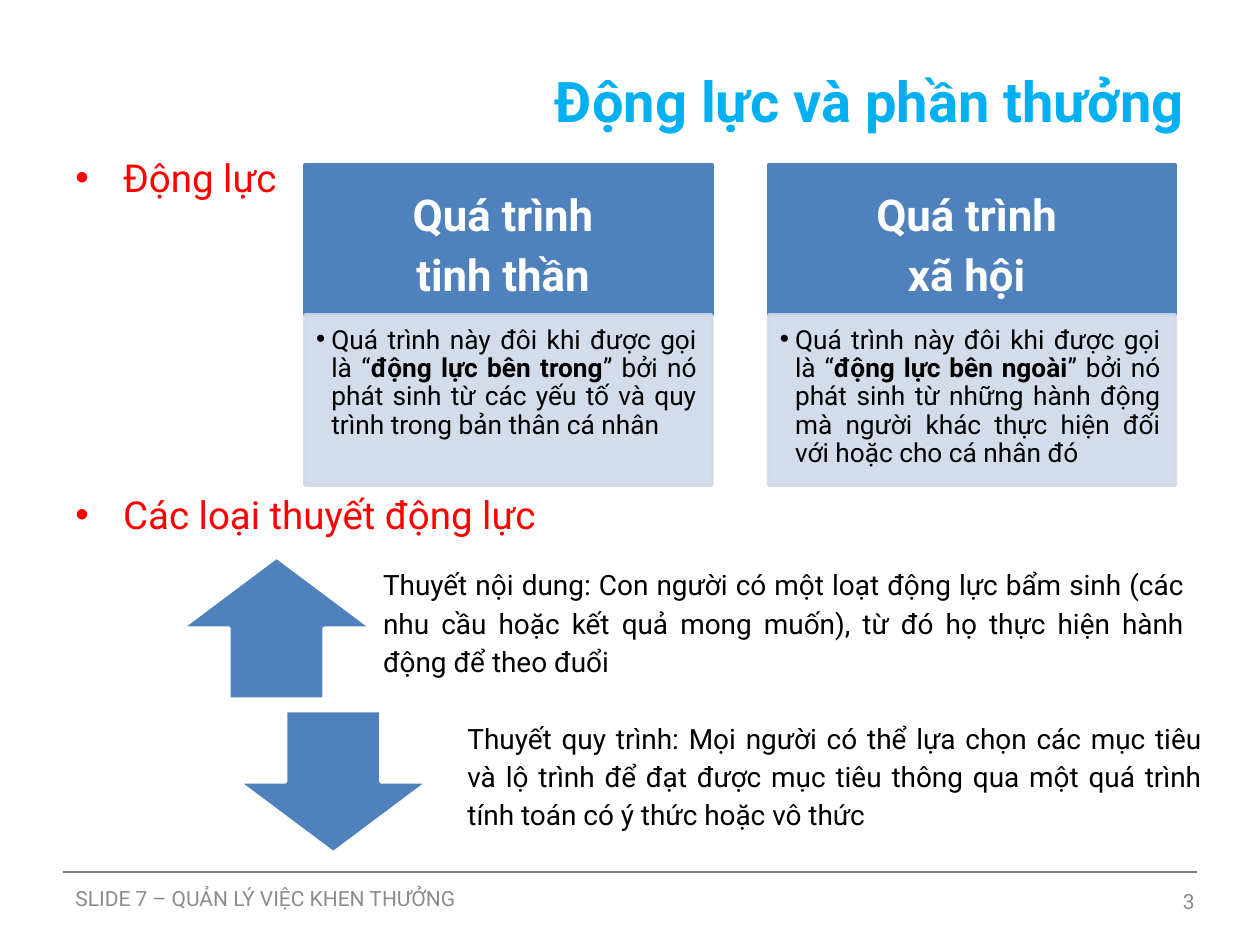
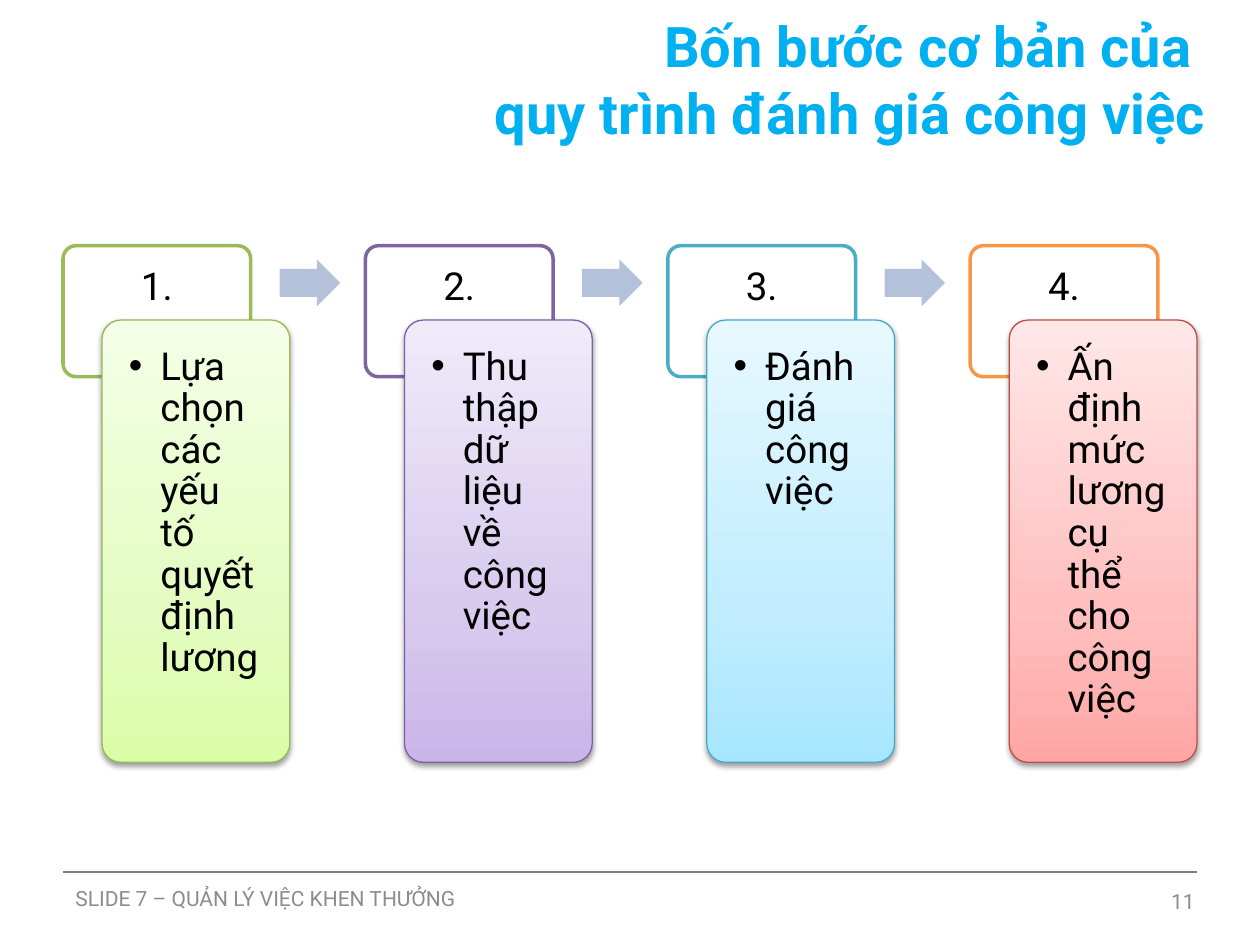
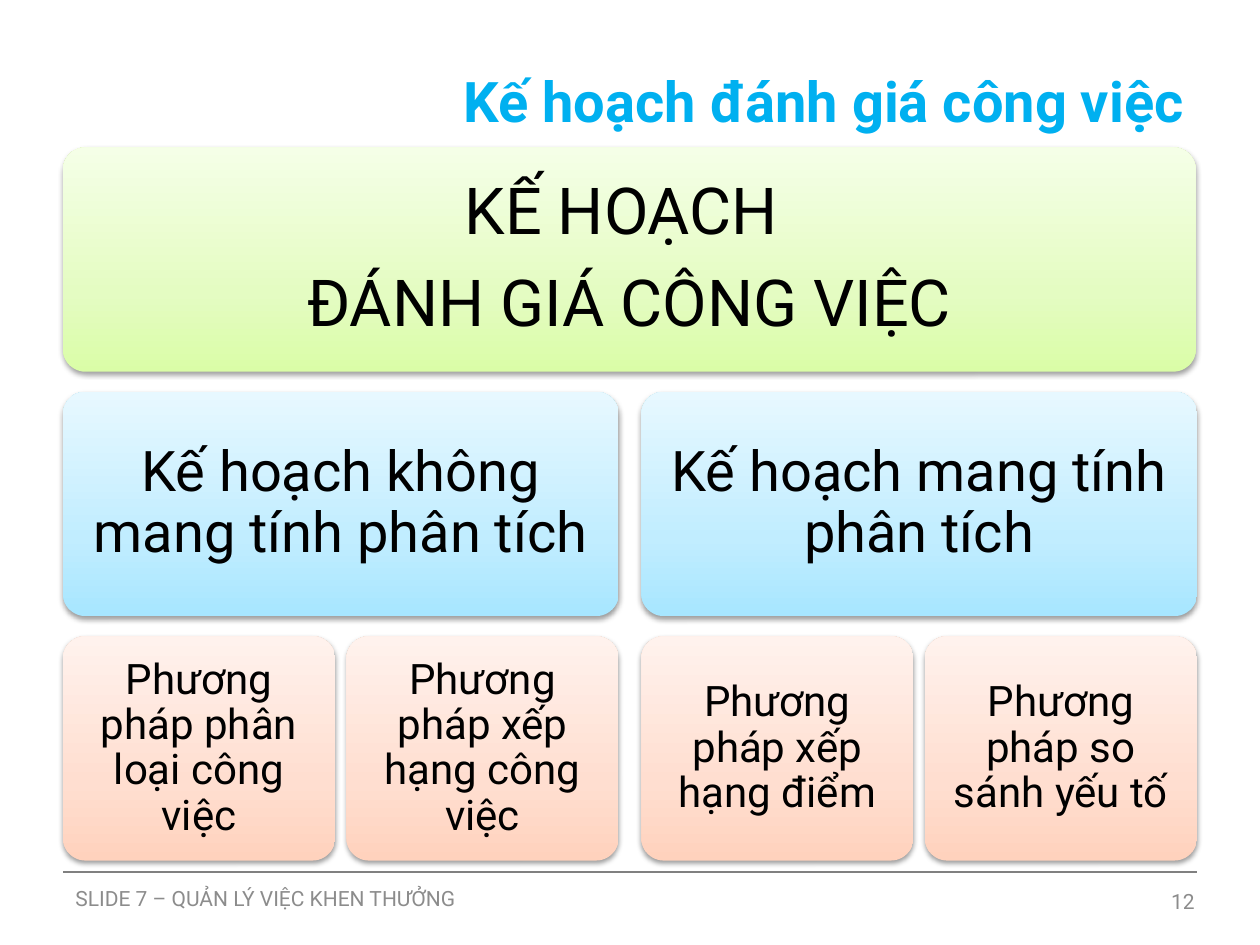
from lxml import etree
from pptx import Presentation
from pptx.dml.color import RGBColor
from pptx.enum.shapes import MSO_CONNECTOR, MSO_SHAPE
from pptx.enum.text import MSO_ANCHOR, PP_ALIGN
from pptx.oxml.ns import qn
from pptx.util import Inches, Pt

LEFT, CENTER, RIGHT, JUSTIFY = PP_ALIGN.LEFT, PP_ALIGN.CENTER, PP_ALIGN.RIGHT, PP_ALIGN.JUSTIFY
TOP, MIDDLE = MSO_ANCHOR.TOP, MSO_ANCHOR.MIDDLE
RECTANGLE, ROUNDED = MSO_SHAPE.RECTANGLE, MSO_SHAPE.ROUNDED_RECTANGLE
UP_ARROW, DOWN_ARROW, RIGHT_ARROW = MSO_SHAPE.UP_ARROW, MSO_SHAPE.DOWN_ARROW, MSO_SHAPE.RIGHT_ARROW

FONT = "Roboto"
COLORS = {
    "title": "00B0F0", "heading": "FF0000", "text": "000000", "white": "FFFFFF",
    "footer": "8C8C8C", "rule": "808080", "blue": "4F81BD", "pale_blue": "D0D8E8",
    "step_arrow": "B3C1DB", "shadow": "000000",
}
GRADIENT_POSITIONS = (0, 35, 100)
GRADIENTS = {
    "green": ("DAFDA7", "E4FCC2", "F5FFE7"),
    "purple": ("C9B5E8", "D8CBEE", "F0EAF9"),
    "cyan": ("A7E6FF", "C1EDFF", "E7F8FF"),
    "red": ("FFA6A5", "FFC0BF", "FFE7E7"),
    "orange": ("FFD2BD", "FFDED0", "FFF2ED"),
}
DEFAULT_INSETS = (0.1, 0.05, 0.1, 0.05)
FOOTER = "SLIDE 7 – QUẢN LÝ VIỆC KHEN THƯỞNG"

HEADINGS = [("Động lực", 1.17), ("Các loại thuyết động lực", 3.85)]
PROCESSES = [
    (["Quá trình ", "tinh thần "],
     ["Quá trình này đôi khi được gọi là “", "động lực bên trong",
      "” bởi nó phát sinh từ các yếu tố và quy trình trong bản thân cá nhân"]),
    (["Quá trình ", "xã hội "],
     ["Quá trình này đôi khi được gọi là “", "động lực bên ngoài",
      "” bởi nó phát sinh từ những hành động mà người khác thực hiện đối với hoặc cho cá nhân đó"]),
]
# arrow, arrow left, text left, text width, text
THEORIES = [
    (UP_ARROW, 1.44, 2.92, 6.6,
     "Thuyết nội dung: Con người có một loạt động lực bẩm sinh (các nhu cầu hoặc "
     "kết quả mong muốn), từ đó họ thực hiện hành động để theo đuổi"),
    (DOWN_ARROW, 1.89, 3.59, 6.07,
     "Thuyết quy trình: Mọi người có thể lựa chọn các mục tiêu và lộ trình để đạt được "
     "mục tiêu thông qua một quá trình tính toán có ý thức hoặc vô thức"),
]
# text, gradient, number outline, card outline
STEPS = [
    ("Lựa chọn các yếu tố quyết định lương ", "green", "9BBB59", "98B955"),
    ("Thu thập dữ liệu về công việc", "purple", "8064A2", "7D60A0"),
    ("Đánh giá công việc", "cyan", "4BACC6", "46AAC5"),
    ("Ấn định mức lương cụ thể cho công việc", "red", "F79646", "BF4C48"),
]
PLAN = ["KẾ HOẠCH ", "ĐÁNH GIÁ CÔNG VIỆC"]
PLAN_TYPES = [
    ("Kế hoạch không mang tính phân tích",
     ["Phương pháp phân loại công việc", "Phương pháp xếp hạng công việc"]),
    ("Kế hoạch mang tính phân tích",
     ["Phương pháp xếp hạng điểm", "Phương pháp so sánh yếu tố"]),
]


def rgb(color):
    return RGBColor.from_string(color)


def set_alpha(properties, percent):
    """Make the solid colour directly under a fill or line parent translucent."""
    color = properties.find(qn("a:solidFill"))[0]
    etree.SubElement(color, qn("a:alpha")).set("val", str(percent * 1000))


def write(shape, paragraphs, size, color=COLORS["text"], align=LEFT, anchor=TOP,
          insets=DEFAULT_INSETS, bold=False, spacing=None, after=0, bullet_indent=None):
    """Write paragraphs, each a list of runs whose odd members are bold; \\n breaks a line."""
    frame = shape.text_frame
    frame.word_wrap = True
    frame.vertical_anchor = anchor
    frame.margin_left, frame.margin_top, frame.margin_right, frame.margin_bottom = map(Inches, insets)
    for index, runs in enumerate(paragraphs):
        paragraph = frame.paragraphs[0] if index == 0 else frame.add_paragraph()
        if bullet_indent:
            properties = paragraph._p.get_or_add_pPr()
            properties.set("marL", str(Inches(bullet_indent)))
            properties.set("indent", str(-Inches(bullet_indent)))
            etree.SubElement(properties, qn("a:buFont")).set("typeface", "Arial")
            etree.SubElement(properties, qn("a:buChar")).set("char", "•")
        paragraph.alignment = align
        if spacing:
            paragraph.line_spacing = spacing
        if index < len(paragraphs) - 1:
            paragraph.space_after = Pt(after)
        for position, text in enumerate(runs):
            for line_number, line in enumerate(text.split("\n")):
                if line_number:
                    paragraph.add_line_break()
                run = paragraph.add_run()
                run.text = line
                run.font.name = FONT
                run.font.size = Pt(size)
                run.font.bold = bold or position % 2 == 1
                run.font.color.rgb = rgb(color)


def add_text(slide, box, paragraphs, size, **style):
    shape = slide.shapes.add_textbox(*map(Inches, box))
    write(shape, paragraphs, size, **style)


def add_box(slide, kind, box, fill=None, line=None, line_width=2.0, adjustments=()):
    shape = slide.shapes.add_shape(kind, *map(Inches, box))
    shape.shadow.inherit = False
    for index, value in enumerate(adjustments):
        shape.adjustments[index] = value
    if fill:
        shape.fill.solid()
        shape.fill.fore_color.rgb = rgb(fill)
    if line:
        shape.line.color.rgb = rgb(line)
        shape.line.width = Pt(line_width)
    else:
        shape.line.fill.background()
    return shape


def add_card(slide, box, gradient, line=None):
    """Add a rounded card with a vertical gradient and a soft shadow."""
    card = add_box(slide, ROUNDED, box, line=line, line_width=0.75, adjustments=[0.1])
    card.fill.gradient()
    card.fill.gradient_angle = 90
    properties = card._element.spPr
    stops = properties.find(qn("a:gradFill")).find(qn("a:gsLst"))
    for stop in list(stops):
        stops.remove(stop)
    for position, color in zip(GRADIENT_POSITIONS, GRADIENTS[gradient]):
        stop = etree.SubElement(stops, qn("a:gs"))
        stop.set("pos", str(position * 1000))
        etree.SubElement(stop, qn("a:srgbClr")).set("val", color)
    shadow = etree.SubElement(properties.find(qn("a:effectLst")), qn("a:outerShdw"))
    for name, value in (("blurRad", Pt(3.1)), ("dist", Pt(1.6)), ("dir", 90 * 60000), ("rotWithShape", 0)):
        shadow.set(name, str(value))
    color = etree.SubElement(shadow, qn("a:srgbClr"))
    color.set("val", COLORS["shadow"])
    etree.SubElement(color, qn("a:alpha")).set("val", "38000")
    return card


def add_slide(presentation, title, number, title_left=0.5, title_top=0.17):
    slide = presentation.slides.add_slide(presentation.slide_layouts[6])
    rule = slide.shapes.add_connector(
        MSO_CONNECTOR.STRAIGHT, Inches(0.5), Inches(6.92), Inches(9.5), Inches(6.92))
    rule.line.color.rgb = rgb(COLORS["rule"])
    rule.line.width = Pt(0.75)
    etree.SubElement(rule._element.spPr, qn("a:effectLst"))
    add_text(slide, (title_left, title_top, 9, 1.25), [[title]], 32,
             color=COLORS["title"], align=RIGHT, anchor=MIDDLE, bold=True)
    add_text(slide, (0.5, 6.93, 6.67, 0.4), [[FOOTER]], 12, color=COLORS["footer"], anchor=MIDDLE)
    add_text(slide, (7.25, 6.95, 2.33, 0.4), [[str(number)]], 12,
             color=COLORS["footer"], align=RIGHT, anchor=MIDDLE)
    return slide


def build_motivation(presentation):
    slide = add_slide(presentation, "Động lực và phần thưởng", 3)
    for heading, top in HEADINGS:
        add_text(slide, (0.5, top, 9, 0.48), [[heading]], 22,
                 color=COLORS["heading"], bullet_indent=0.38)

    for column, (name, description) in enumerate(PROCESSES):
        left = 2.42 + 3.68 * column
        header = add_box(slide, RECTANGLE, (left, 1.31, 3.23, 1.19), COLORS["blue"], COLORS["blue"])
        write(header, [[line] for line in name], 25, color=COLORS["white"], align=CENTER,
              anchor=MIDDLE, insets=(0.19, 0.11, 0.19, 0.11), bold=True, spacing=1.14)
        body = add_box(slide, RECTANGLE, (left, 2.5, 3.23, 1.35),
                       COLORS["pale_blue"], COLORS["pale_blue"])
        properties = body._element.spPr
        set_alpha(properties, 90)
        set_alpha(properties.find(qn("a:ln")), 90)
        write(body, [description], 15, align=JUSTIFY, insets=(0.09, 0.09, 0.12, 0.13),
              spacing=0.9, bullet_indent=0.12)

    for row, (arrow, arrow_left, text_left, text_width, text) in enumerate(THEORIES):
        top = 4.42 + 1.22 * row
        add_box(slide, arrow, (arrow_left, top, 1.51, 1.13), COLORS["blue"], COLORS["white"])
        add_text(slide, (text_left, top, text_width, 1.13), [[text]], 16, align=JUSTIFY,
                 anchor=MIDDLE, insets=(0.12, 0, 0.12, 0.12), spacing=1.14)


def build_steps(presentation):
    slide = add_slide(presentation, "Bốn bước cơ bản của \nquy trình đánh giá công việc", 11,
                      title_left=0.67, title_top=0)
    for index, (text, gradient, number_line, card_line) in enumerate(STEPS):
        left = 0.5 + 2.4 * index
        number = add_box(slide, ROUNDED, (left, 1.95, 1.49, 1.04), COLORS["white"],
                         number_line, adjustments=[0.1])
        write(number, [[f"{index + 1}."]], 22, align=CENTER,
              insets=(0.14, 0.14, 0.14, 0.09), spacing=0.9)
        card = add_card(slide, (left + 0.31, 2.54, 1.49, 3.51), gradient, card_line)
        write(card, [[text]], 22, align=JUSTIFY, insets=(0.17,) * 4, spacing=0.9, bullet_indent=0.25)
        if index < len(STEPS) - 1:
            add_box(slide, RIGHT_ARROW, (left + 1.72, 2.06, 0.48, 0.37),
                    COLORS["step_arrow"], adjustments=[0.6, 0.5])


def build_plan(presentation):
    slide = add_slide(presentation, "Kế hoạch đánh giá công việc", 12)

    def add_plan_card(left, row, width, gradient, lines, size, inset):
        card = add_card(slide, (left, 1.17 + 1.94 * row, width, 1.78), gradient)
        write(card, [[line] for line in lines], size, align=CENTER, anchor=MIDDLE,
              insets=(inset,) * 4, spacing=0.9, after=round(size * 0.35))

    add_plan_card(0.5, 0, 8.99, "green", PLAN, 37, 0.15)
    for column, (plan_type, methods) in enumerate(PLAN_TYPES):
        left = 0.5 + 4.59 * column
        add_plan_card(left, 1, 4.41, "cyan", [plan_type], 32, 0.13)
        for position, method in enumerate(methods):
            add_plan_card(left + 2.25 * position, 2, 2.16, "orange", [method], 24, 0.1)


def main():
    presentation = Presentation()
    presentation.slide_width = Inches(10)
    presentation.slide_height = Inches(7.5)
    build_motivation(presentation)
    build_steps(presentation)
    build_plan(presentation)
    presentation.save("out.pptx")


if __name__ == "__main__":
    main()
